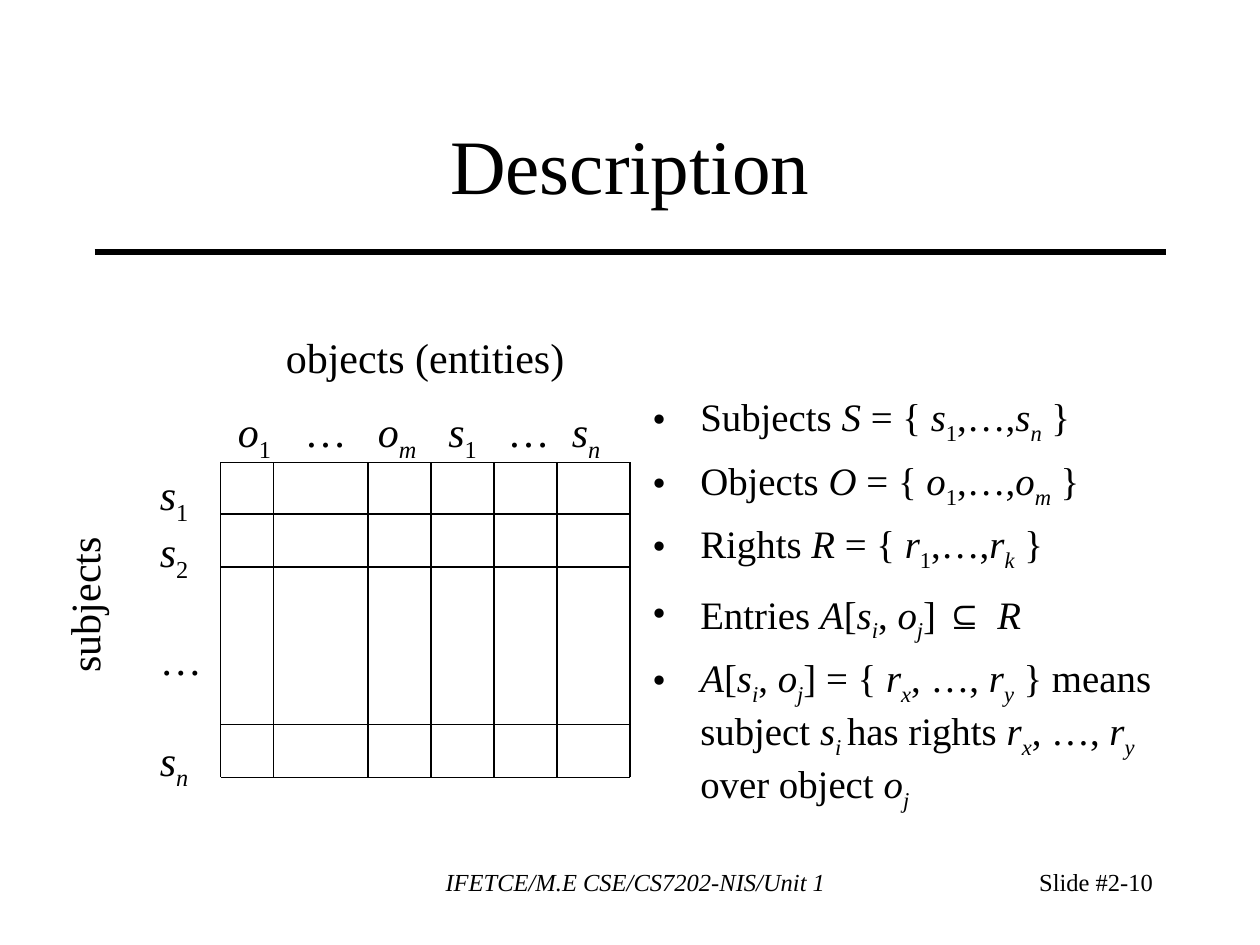
from dataclasses import dataclass

from lxml.etree import SubElement
from pptx import Presentation
from pptx.dml.color import RGBColor
from pptx.enum.shapes import MSO_CONNECTOR
from pptx.enum.text import MSO_ANCHOR, PP_ALIGN
from pptx.oxml.ns import qn
from pptx.util import Inches, Pt


@dataclass(frozen=True)
class Theme:
    ink: RGBColor = RGBColor(0, 0, 0)
    font: str = "Times New Roman"
    symbol_font: str = "Arial"
    title: float = 44
    label: float = 24
    body: float = 22.2
    wide_space: float = 25.9
    footer: float = 14
    rule: float = 3
    grid: float = 0.75


@dataclass(frozen=True)
class Box:
    left: float
    top: float
    width: float
    height: float


THEME = Theme()
TOGGLES = {"*": "italic", "_": "subscript", "^": "symbol", "~": "wide"}

COLUMN_EDGES = [0, 0.42, 1.17, 1.67, 2.17, 2.67, 3.25]
ROW_EDGES = [0, 0.41, 0.83, 2.08, 2.5]
COLUMN_LABELS = "*o*_1_\t…\t*o_m_*\t*s*_1_\t…\t*s_n_*"
COLUMN_TABS = [0.53, 1.11, 1.67, 2.14, 2.65]
ROW_LABELS = [("*s*_1_", 0), ("*s*_2_", 0), ("…", 28.7), ("*s_n_*", 28.7)]

DEFINITIONS = [
    "Subjects *S* = { *s*_1_,…,*s_n_* }",
    "Objects *O* = { *o*_1_,…,*o_m_* }",
    "Rights *R* = { *r*_1_,…,*r_k_* }",
    "Entries *A*[*s_i_*, *o_j_*] ^⊆~ ~^*R*",
    "*A*[*s_i_*, *o_j_*] = { *r_x_*, …, *r_y_* } means subject *s_i _*"
    "has rights *r_x_*, …, *r_y_* over object *o_j_*",
]


def add_run(paragraph, text, styles, size):
    run = paragraph.add_run()
    run.text = text
    run.font.name = THEME.symbol_font if "symbol" in styles else THEME.font
    run.font.size = Pt(THEME.wide_space if "wide" in styles else size)
    run.font.color.rgb = THEME.ink
    run.font.italic = "italic" in styles
    if "subscript" in styles:
        run._r.get_or_add_rPr().set("baseline", "-25000")


def write_markup(paragraph, markup, size):
    styles, text = set(), ""
    for character in markup:
        if character in TOGGLES:
            if text:
                add_run(paragraph, text, styles, size)
            text = ""
            styles ^= {TOGGLES[character]}
        else:
            text += character
    if text:
        add_run(paragraph, text, styles, size)


def add_text(slide, box, markups, size, align=PP_ALIGN.LEFT, wrap=True):
    shape = slide.shapes.add_textbox(
        Inches(box.left), Inches(box.top), Inches(box.width), Inches(box.height)
    )
    text_frame = shape.text_frame
    text_frame.word_wrap = wrap
    for index, markup in enumerate(markups):
        paragraph = text_frame.add_paragraph() if index else text_frame.paragraphs[0]
        paragraph.alignment = align
        write_markup(paragraph, markup, size)
    return shape


def add_line(slide, start, end, width):
    line = slide.shapes.add_connector(
        MSO_CONNECTOR.STRAIGHT, *(Inches(value) for value in (*start, *end))
    )
    line.line.color.rgb = THEME.ink
    line.line.width = Pt(width)
    SubElement(line._element.spPr, qn("a:effectLst"))


def add_heading(slide, box):
    title = add_text(slide, box, ["Description"], THEME.title, PP_ALIGN.CENTER)
    title.text_frame.vertical_anchor = MSO_ANCHOR.MIDDLE
    rule_top = box.top + box.height + 0.08
    add_line(slide, (box.left, rule_top), (box.left + box.width, rule_top), THEME.rule)


def add_grid(slide, box):
    for edge in COLUMN_EDGES:
        x = box.left + edge
        add_line(slide, (x, box.top), (x, box.top + box.height), THEME.grid)
    for edge in ROW_EDGES:
        y = box.top + edge
        add_line(slide, (box.left, y), (box.left + box.width, y), THEME.grid)


def add_matrix(slide, box):
    add_grid(slide, box)
    objects_box = Box(box.left + 0.42, box.top - 1.09, 2.41, 0.5)
    add_text(slide, objects_box, ["objects (entities)"], THEME.label, wrap=False)

    subjects_box = Box(box.left - 1.75, box.top + 0.88, 1.33, 0.5)
    subjects = add_text(
        slide, subjects_box, ["subjects"], THEME.label, PP_ALIGN.CENTER, wrap=False
    )
    subjects.rotation = 270

    header_box = Box(box.left + 0.04, box.top - 0.5, box.width, 0.56)
    header = add_text(slide, header_box, [COLUMN_LABELS], THEME.label)
    properties = header.text_frame.paragraphs[0]._p.get_or_add_pPr()
    tab_list = SubElement(properties, qn("a:tabLst"))
    for position in COLUMN_TABS:
        SubElement(tab_list, qn("a:tab"), pos=str(Inches(position)), algn="l")

    rows_box = Box(box.left - 0.58, box.top, 0.53, 2.67)
    labels = [label for label, gap in ROW_LABELS]
    rows = add_text(slide, rows_box, labels, THEME.label, wrap=False)
    for paragraph, (label, gap) in zip(rows.text_frame.paragraphs, ROW_LABELS):
        paragraph.space_before = Pt(gap)


def add_definitions(slide, box):
    shape = add_text(slide, box, DEFINITIONS, THEME.body)
    for index, paragraph in enumerate(shape.text_frame.paragraphs):
        properties = paragraph._p.get_or_add_pPr()
        properties.set("marL", str(Inches(0.38)))
        properties.set("indent", str(Inches(-0.38)))
        SubElement(properties, qn("a:buFont"), typeface=THEME.font)
        SubElement(properties, qn("a:buChar"), char="•")
        paragraph.space_before = Pt(6 if index else 0)


def add_footer(slide, box):
    course_box = Box(box.left, box.top, 3.57, box.height)
    number_box = Box(box.left + box.width - 2.08, box.top, 2.08, box.height)
    course = "*IFETCE/M.E CSE/CS7202-NIS/Unit 1*"
    add_text(slide, course_box, [course], THEME.footer, PP_ALIGN.CENTER)
    add_text(slide, number_box, ["Slide #2-10"], THEME.footer, PP_ALIGN.RIGHT)


def main():
    presentation = Presentation()
    presentation.slide_width = Inches(10)
    presentation.slide_height = Inches(7.5)
    slide = presentation.slides.add_slide(presentation.slide_layouts[6])
    add_heading(slide, Box(0.75, 0.67, 8.5, 1.25))
    add_matrix(slide, Box(1.75, 3.67, 3.25, 2.5))
    add_definitions(slide, Box(5.08, 3.07, 4.17, 3.68))
    add_footer(slide, Box(3.26, 6.83, 5.99, 0.5))
    presentation.save("out.pptx")


if __name__ == "__main__":
    main()
